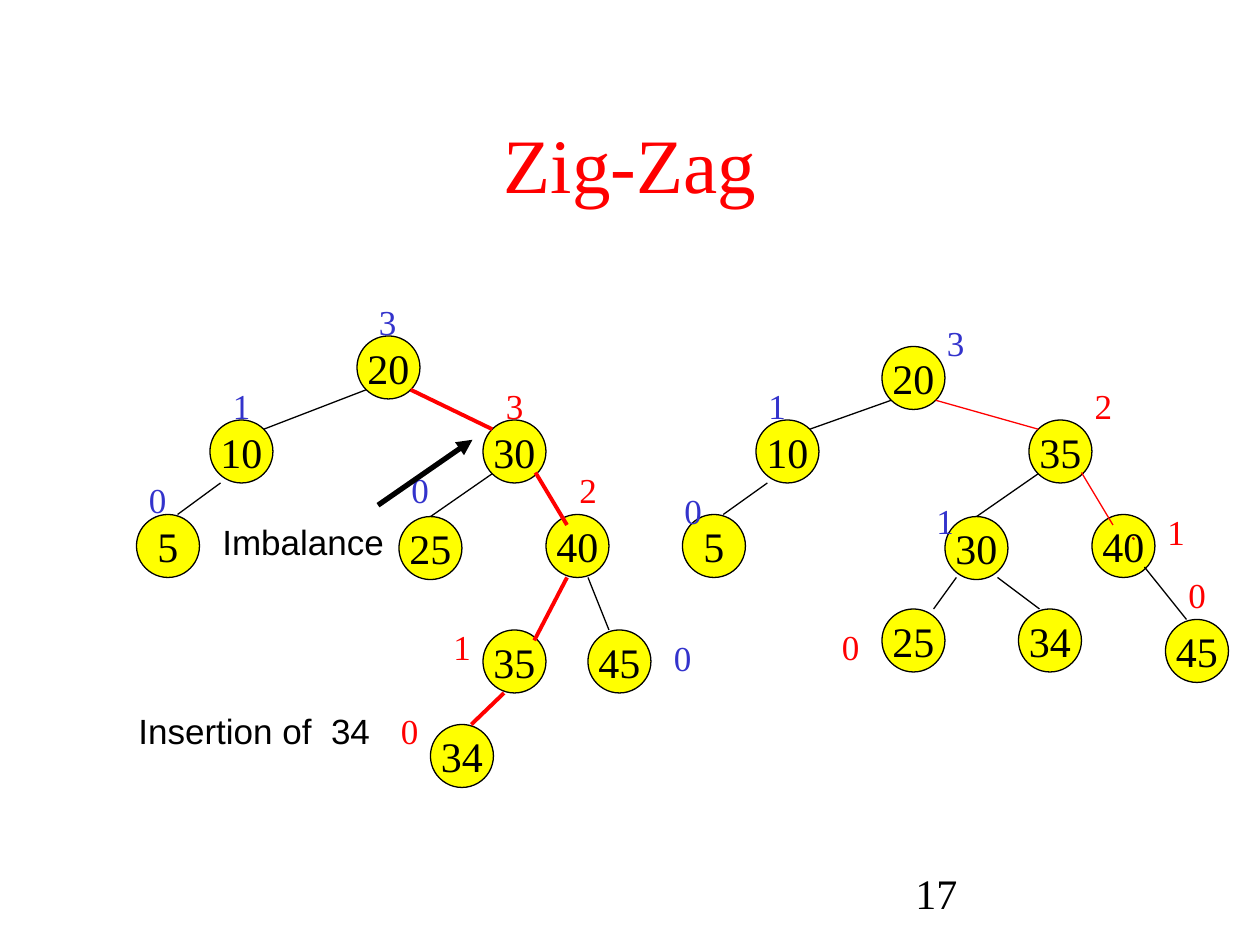
from dataclasses import dataclass
from math import sqrt
from typing import NamedTuple

from lxml.etree import SubElement
from pptx import Presentation
from pptx.dml.color import RGBColor
from pptx.enum.shapes import MSO_CONNECTOR, MSO_SHAPE
from pptx.enum.text import MSO_ANCHOR, MSO_AUTO_SIZE, PP_ALIGN
from pptx.oxml.ns import qn
from pptx.util import Pt


@dataclass(frozen=True)
class Theme:
    red: RGBColor = RGBColor(0xFF, 0x00, 0x00)
    blue: RGBColor = RGBColor(0x33, 0x33, 0xCC)
    black: RGBColor = RGBColor(0x00, 0x00, 0x00)
    yellow: RGBColor = RGBColor(0xFF, 0xFF, 0x00)
    dark_red: RGBColor = RGBColor(0xC0, 0x00, 0x00)
    serif: str = "Times New Roman"
    sans: str = "Arial"
    title_size: float = 44
    key_size: float = 24
    label_size: float = 20
    thin: float = 0.75
    thick: float = 2.25
    arrow: float = 3


THEME = Theme()
DIAMETER = 36
RADIUS = DIAMETER / 2
LABEL_HEIGHT = 31.5


class Node(NamedTuple):
    key: str
    left: float
    top: float

    def anchor(self, side: str) -> tuple[float, float]:
        """Point on the circle: n, or a diagonal such as sw."""
        reach = RADIUS if len(side) == 1 else RADIUS / sqrt(2)
        dx = reach * (("e" in side) - ("w" in side))
        dy = reach * (("s" in side) - ("n" in side))
        return self.left + RADIUS + dx, self.top + RADIUS + dy


class Edge(NamedTuple):
    parent: str
    child: str
    start: str | tuple[float, float]  # anchor side or free point
    end: str | tuple[float, float]
    on_path: bool = False


class Height(NamedTuple):
    value: str
    left: float
    top: float
    color: RGBColor


@dataclass(frozen=True)
class Tree:
    nodes: list[Node]
    edges: list[Edge]
    heights: list[Height]
    path_width: float


BEFORE = Tree(
    nodes=[Node("20", 204, 192), Node("10", 120, 240), Node("30", 276, 240),
           Node("5", 78, 294), Node("25", 228, 295.2), Node("40", 312, 294),
           Node("35", 276, 360), Node("45", 336, 360), Node("34", 246, 414)],
    edges=[Edge("20", "10", "sw", "ne"),
           Edge("20", "30", "se", "nw", True),
           Edge("10", "5", (126, 276), (101.5, 294)),
           Edge("30", "25", "sw", "n"),
           Edge("30", "40", (306, 270), (324, 300), True),
           Edge("40", "35", (324, 330), (305.3, 366), True),
           Edge("40", "45", (336, 330), (348, 360)),
           Edge("35", "34", (288, 396), (269.3, 414), True)],
    heights=[Height("3", 209.5, 168, THEME.blue), Height("1", 126, 216, THEME.blue),
             Height("3", 282, 216, THEME.red), Height("0", 78, 270, THEME.blue),
             Height("0", 228, 264, THEME.blue), Height("2", 324, 264, THEME.red),
             Height("1", 252, 354, THEME.red), Height("0", 378, 360, THEME.blue),
             Height("0", 222, 402, THEME.red)],
    path_width=THEME.thick,
)

AFTER = Tree(
    nodes=[Node("20", 504, 198), Node("10", 432, 240), Node("35", 588, 240),
           Node("5", 390, 294), Node("30", 540, 295.2), Node("40", 624, 294),
           Node("25", 504, 348), Node("34", 582, 348), Node("45", 666, 354)],
    edges=[Edge("20", "10", "sw", "ne"),
           Edge("20", "35", "se", "nw", True),
           Edge("10", "5", (438.5, 276), (413.3, 294)),
           Edge("35", "30", "sw", "n"),
           Edge("35", "40", (618, 270), (636, 300), True),
           Edge("30", "25", (546.5, 330), (533.5, 348)),
           Edge("30", "34", (570, 330), (594, 348)),
           Edge("40", "45", (654, 324), (678, 354))],
    heights=[Height("3", 534, 180, THEME.blue), Height("1", 432, 216, THEME.blue),
             Height("2", 618.5, 216, THEME.red), Height("0", 384, 276, THEME.blue),
             Height("1", 528, 282, THEME.blue), Height("1", 660, 288, THEME.red),
             Height("0", 672, 324, THEME.red), Height("0", 474, 354, THEME.red)],
    path_width=THEME.thin,
)


def write(frame, text: str, size: float, color: RGBColor, font: str = THEME.serif,
          align=PP_ALIGN.LEFT, wrap: bool = True) -> None:
    frame.word_wrap = wrap
    frame.auto_size = MSO_AUTO_SIZE.NONE
    paragraph = frame.paragraphs[0]
    paragraph.alignment = align
    run = paragraph.add_run()
    run.text = text
    run.font.name = font
    run.font.size = Pt(size)
    run.font.color.rgb = color


def add_text(slide, text: str, left: float, top: float, width: float,
             height: float, size: float, color: RGBColor, **style) -> None:
    box = slide.shapes.add_textbox(Pt(left), Pt(top), Pt(width), Pt(height))
    write(box.text_frame, text, size, color, **style)


def add_line(slide, start: tuple[float, float], end: tuple[float, float],
             color: RGBColor, width: float):
    line = slide.shapes.add_connector(MSO_CONNECTOR.STRAIGHT, *map(Pt, start + end))
    line.line.color.rgb = color
    line.line.width = Pt(width)
    SubElement(line._element.spPr, qn("a:effectLst"))
    return line


def add_node(slide, node: Node):
    circle = slide.shapes.add_shape(MSO_SHAPE.OVAL, Pt(node.left), Pt(node.top),
                                    Pt(DIAMETER), Pt(DIAMETER))
    circle.shadow.inherit = False
    circle.fill.solid()
    circle.fill.fore_color.rgb = THEME.yellow
    circle.line.color.rgb = THEME.black
    circle.line.width = Pt(THEME.thin)
    circle.text_frame.vertical_anchor = MSO_ANCHOR.MIDDLE
    write(circle.text_frame, node.key, THEME.key_size, THEME.black,
          align=PP_ALIGN.CENTER, wrap=False)
    return circle


def add_tree(slide, tree: Tree) -> None:
    nodes = {node.key: node for node in tree.nodes}
    circles = {node.key: add_node(slide, node) for node in tree.nodes}
    for edge in tree.edges:
        start, end = (nodes[key].anchor(place) if isinstance(place, str) else place
                      for key, place in ((edge.parent, edge.start), (edge.child, edge.end)))
        color, width = ((THEME.red, tree.path_width) if edge.on_path
                        else (THEME.black, THEME.thin))
        line = add_line(slide, start, end, color, width)
        if edge.end == "n":
            line.end_connect(circles[edge.child], 0)
    for height in tree.heights:
        add_text(slide, height.value, height.left, height.top, 24.5, LABEL_HEIGHT,
                 THEME.label_size, height.color, wrap=False)


def main() -> None:
    deck = Presentation()
    deck.slide_width, deck.slide_height = Pt(720), Pt(540)
    slide = deck.slides.add_slide(deck.slide_layouts[5])

    # Title and page number
    title = slide.shapes.title
    title.left, title.top, title.width, title.height = Pt(54), Pt(48), Pt(612), Pt(90)
    title.text_frame.vertical_anchor = MSO_ANCHOR.MIDDLE
    write(title.text_frame, "Zig-Zag", THEME.title_size, THEME.red, align=PP_ALIGN.CENTER)
    add_text(slide, "17", 516, 492, 150, 36, THEME.key_size, THEME.black)

    # Trees before and after the double rotation
    for tree in (BEFORE, AFTER):
        add_tree(slide, tree)

    # Remarks, with the arrow to the unbalanced node
    add_text(slide, "Imbalance", 120, 294, 108, LABEL_HEIGHT, THEME.label_size,
             THEME.black, font=THEME.sans)
    add_text(slide, "Insertion of  34", 72, 402, 150, LABEL_HEIGHT, THEME.label_size,
             THEME.black, font=THEME.sans)
    arrow = add_line(slide, (216, 288.7), (270, 251.3), THEME.black, THEME.arrow)
    SubElement(arrow.line._get_or_add_ln(), qn("a:tailEnd"), type="triangle")

    # Pen dot on node 40
    stroke = slide.shapes.build_freeform(Pt(648), Pt(307.4))
    stroke.add_line_segments([(Pt(647.3), Pt(308.1))], close=False)
    dot = stroke.convert_to_shape()
    dot.shadow.inherit = False
    dot.fill.background()
    dot.line.color.rgb = THEME.dark_red
    dot.line.width = Pt(1.5)

    deck.save("out.pptx")


if __name__ == "__main__":
    main()
